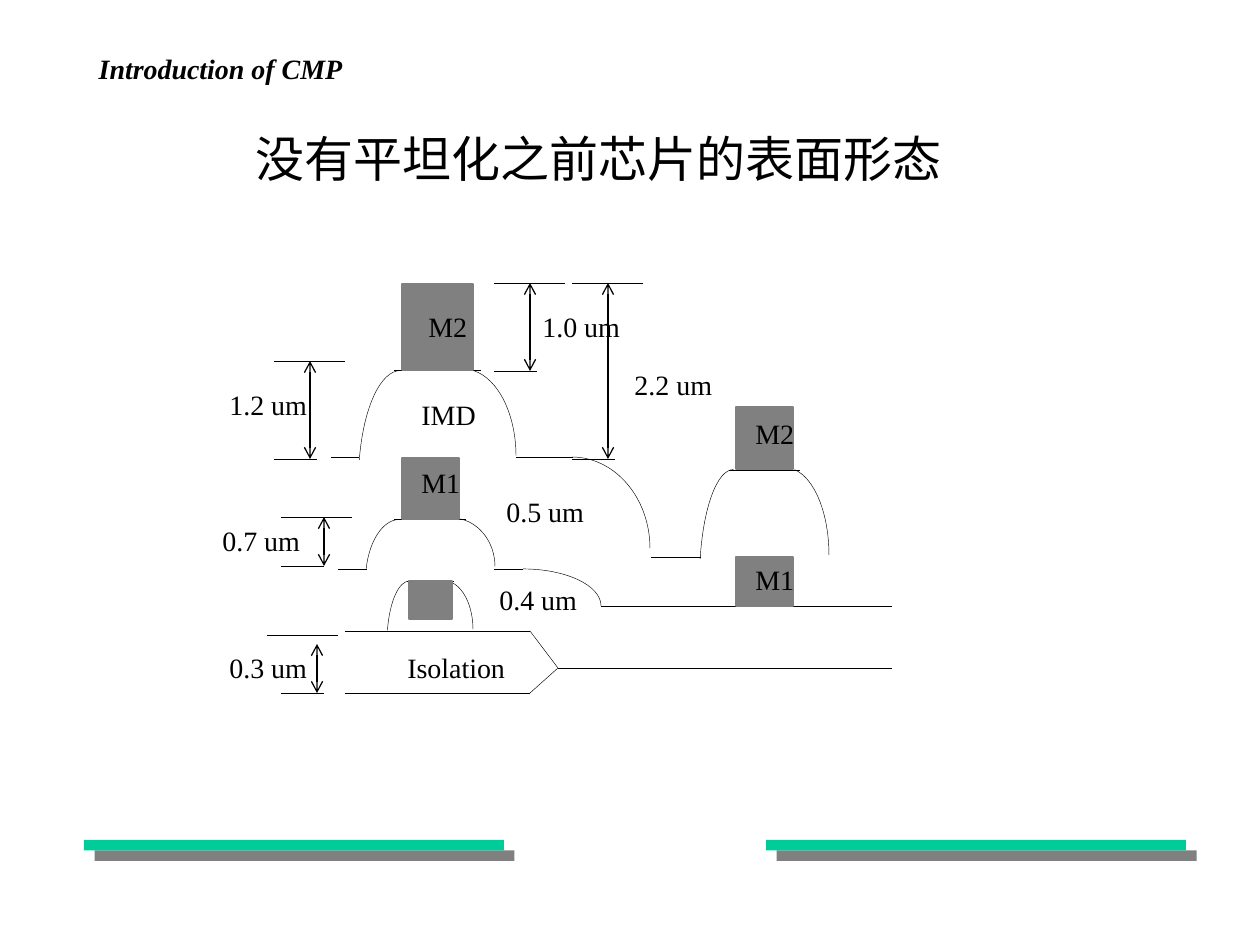
from dataclasses import dataclass
from math import cos, radians, sin, tan

from lxml.etree import SubElement
from pptx import Presentation
from pptx.dml.color import RGBColor
from pptx.enum.shapes import MSO_CONNECTOR, MSO_SHAPE
from pptx.enum.text import MSO_ANCHOR, MSO_AUTO_SIZE, PP_ALIGN
from pptx.oxml.ns import qn
from pptx.util import Pt

SCALE = 914400 / 126


def emu(px):
    return round(px * SCALE)


@dataclass(frozen=True)
class Theme:
    font: str = "Times New Roman"
    ink: str = "000000"
    metal: str = "808080"
    accent: str = "00CC99"
    title_size: int = 28
    text_size: int = 16
    hairline: float = 0.25
    line: float = 0.75


def write(frame, text, *, theme, size, align=PP_ALIGN.LEFT, bold=False, italic=False):
    para = frame.paragraphs[0]
    para.alignment = align
    span = para.add_run()
    span.text = text
    span.font.name = theme.font
    span.font.size = Pt(size)
    span.font.bold = bold
    span.font.italic = italic
    span.font.color.rgb = RGBColor.from_string(theme.ink)


class Canvas:
    def __init__(self, slide, theme):
        self.slide = slide
        self.theme = theme

    def title(self, text, left, top, width, height):
        box = self.slide.shapes.title
        box.left, box.top, box.width, box.height = map(emu, (left, top, width, height))
        box.text_frame.vertical_anchor = MSO_ANCHOR.MIDDLE
        write(box.text_frame, text, theme=self.theme, size=self.theme.title_size,
              align=PP_ALIGN.CENTER)

    def header(self, text, left, top, width, height):
        box = self.slide.shapes.add_textbox(*map(emu, (left, top, width, height)))
        box.text_frame.word_wrap = True
        box.text_frame.vertical_anchor = MSO_ANCHOR.MIDDLE
        write(box.text_frame, text, theme=self.theme, size=self.theme.text_size,
              align=PP_ALIGN.CENTER, bold=True, italic=True)

    def label(self, text, left, top, width):
        box = self.slide.shapes.add_textbox(*map(emu, (left, top, width, 47)))
        box.text_frame.word_wrap = False
        box.text_frame.auto_size = MSO_AUTO_SIZE.SHAPE_TO_FIT_TEXT
        write(box.text_frame, text, theme=self.theme, size=self.theme.text_size)

    def block(self, left, top, width, height, color):
        shape = self.slide.shapes.add_shape(
            MSO_SHAPE.RECTANGLE, *map(emu, (left, top, width, height)))
        shape.shadow.inherit = False
        shape.fill.solid()
        shape.fill.fore_color.rgb = RGBColor.from_string(color)
        shape.line.fill.background()
        return shape

    def metal(self, left, top, width, height):
        shape = self.block(left, top, width, height, self.theme.metal)
        shape.line.color.rgb = RGBColor.from_string(self.theme.metal)
        shape.line.width = Pt(self.theme.line)

    def bar(self, left, top, width, height):
        shape = self.block(left, top, width, height, self.theme.accent)
        effects = shape._element.spPr.find(qn("a:effectLst"))
        shadow = SubElement(effects, qn("a:outerShdw"), dist=str(Pt(8.5)),
                            dir="2700000", algn="ctr", rotWithShape="0")
        SubElement(shadow, qn("a:srgbClr"), val=self.theme.metal)

    def line(self, x1, y1, x2, y2, arrows=False):
        line = self.slide.shapes.add_connector(
            MSO_CONNECTOR.STRAIGHT, *map(emu, (x1, y1, x2, y2)))
        line.line.color.rgb = RGBColor.from_string(self.theme.ink)
        line.line.width = Pt(self.theme.line if arrows else self.theme.hairline)
        if arrows:
            for end in ("a:headEnd", "a:tailEnd"):
                SubElement(line.line._get_or_add_ln(), qn(end), type="arrow")
        SubElement(line._element.spPr, qn("a:effectLst"))

    def arc(self, left, top, width, height, rotation=0, trim=11.5):
        """Upper right quarter of the ellipse in the box, less trim degrees at its start."""
        x, y, w, h = map(emu, (left, top, width, height))
        builder = self.slide.shapes.build_freeform(x, y, scale=1.0)
        builder.add_line_segments([(x + w, y + h)], close=False)
        curve = builder.convert_to_shape()
        radius_x, radius_y, start = w / 2, h / 2, radians(trim)
        reach = 4 / 3 * tan(radians(90 - trim) / 4)
        first = (radius_x * (1 + sin(start)), radius_y * (1 - cos(start)))
        controls = (
            (first[0] + reach * radius_x * cos(start), first[1] + reach * radius_y * sin(start)),
            (w, radius_y * (1 - reach)),
            (w, radius_y),
        )
        outline = next(curve._element.iter(qn("a:path")))
        for child in list(outline):
            outline.remove(child)
        for tag, points in (("a:moveTo", (first,)), ("a:cubicBezTo", controls)):
            command = SubElement(outline, qn(tag))
            for px, py in points:
                SubElement(command, qn("a:pt"), x=str(round(px)), y=str(round(py)))
        curve.rotation = rotation
        curve.shadow.inherit = False
        curve.fill.background()
        curve.line.color.rgb = RGBColor.from_string(self.theme.ink)
        curve.line.width = Pt(self.theme.hairline)

    def dimension(self, left, top, bottom, top_left=None, arrow_top=None, offset=36):
        """Long tick above, short tick below, double arrow between."""
        top_left = left if top_left is None else top_left
        self.line(top_left, top, top_left + 71, top)
        self.line(left, bottom, left + 43, bottom)
        self.line(left + offset, arrow_top or top, left + offset, bottom, arrows=True)


def main():
    deck = Presentation()
    deck.slide_width, deck.slide_height = emu(1260), emu(945)
    theme = Theme()
    canvas = Canvas(deck.slides.add_slide(deck.slide_layouts[5]), theme)

    # Footer bars and headings
    for left in (84, 766):
        canvas.bar(left, 840, 420, 10.5)
    canvas.title("没有平坦化之前芯片的表面形态", 63, 95, 1071, 126)
    canvas.header("Introduction of CMP", 84, 32, 273, 73)

    # Rounded shoulders: left ones are turned, right ones upright
    for box in ((348, 620, 123, 45), (338, 547, 123, 68),
                (289, 440, 223, 84), (622, 547, 223, 68)):
        canvas.arc(*box, rotation=270)
    for box in ((416, 581, 57, 97), (409, 518, 86, 97),
                (411, 369, 105, 174), (743, 468, 86, 174)):
        canvas.arc(*box)

    # Slopes down to the right side
    for box in ((445, 569, 156, 74), (494, 457, 156, 183)):
        canvas.arc(*box, trim=0)

    # Flat surfaces: left, right, level
    for left, right, level in (
        (407, 454, 581), (345, 530, 631), (345, 530, 693), (558, 892, 668),
        (394, 466, 519), (338, 367, 569), (494, 523, 569), (601, 892, 606),
        (394, 481, 370), (331, 359, 457), (516, 573, 457), (651, 701, 557),
        (729, 800, 470),
    ):
        canvas.line(left, level, right, level)

    # Tip of the isolation layer
    for level in (631, 693):
        canvas.line(530, level, 558, 668)

    # Metal blocks
    for block in (
        (409, 581, 43, 38), (402, 458, 57, 61), (402, 284, 71, 86),
        (736, 557, 57, 49), (736, 407, 57, 62),
    ):
        canvas.metal(*block)

    # Height dimensions
    canvas.dimension(274, 361, 459)
    canvas.dimension(281, 517, 566, offset=43)
    canvas.dimension(281, 635, 693, top_left=267, arrow_top=644)
    canvas.dimension(494, 283, 371)
    canvas.dimension(572, 283, 459)

    # Labels
    for text, left, top, width in (
        ("Isolation", 395, 644, 126), ("IMD", 409, 391, 83),
        ("M2", 416, 303, 68), ("M2", 743, 410, 68),
        ("M1", 743, 556, 68), ("M1", 409, 459, 68),
        ("0.4 um", 487, 576, 106), ("0.5 um", 494, 488, 106),
        ("1.2 um", 217, 381, 106), ("0.7 um", 210, 517, 106),
        ("0.3 um", 217, 644, 106), ("1.0 um", 530, 303, 106),
        ("2.2 um", 622, 361, 106),
    ):
        canvas.label(text, left, top, width)

    deck.save("out.pptx")


if __name__ == "__main__":
    main()
